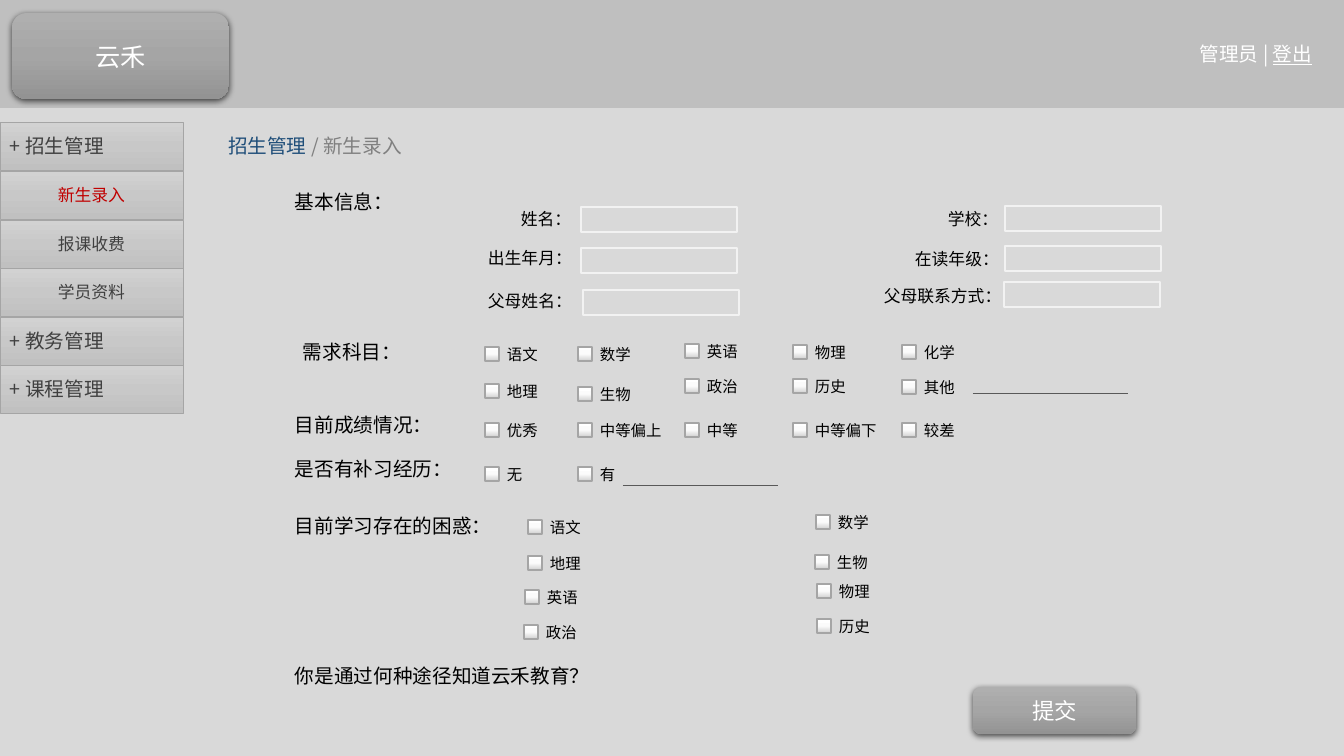
"""Build the student enrolment form slide of a school admin system."""
from copy import deepcopy

from pptx import Presentation, util as u
from pptx.dml.color import RGBColor
from pptx.enum import shapes, text
from pptx.oxml import parse_xml
from pptx.oxml.ns import nsdecls, qn

RECT, ROUND = shapes.MSO_SHAPE.RECTANGLE, shapes.MSO_SHAPE.ROUNDED_RECTANGLE
LEFT, CENTER = text.PP_ALIGN.LEFT, text.PP_ALIGN.CENTER
BUTTON = ("AFAFAF", "A5A5A5", "939393")
MENU = ("D2D2D2", "C8C8C8", "C0C0C0")
CHECK = ("FFFFFF", "FBFBFB", "D1D1D1")
BLACK, WHITE, DARK, GREY, RED = "000000", "FFFFFF", "404040", "A5A5A5", "C00000"
BRAND = "云禾"


def px(n):
    return u.Emu(round(n * 914400 / 100.8))


def rgb(value):
    return RGBColor.from_string(value)


class Form:
    font = "Noto Sans CJK SC"

    def __init__(self, prs, background):
        self.slide = prs.slides.add_slide(prs.slide_layouts[5])
        fill = self.slide.background.fill
        fill.solid()
        fill.fore_color.rgb = rgb(background)

    def set_text(self, sp, runs, size, align=LEFT, anchor=text.MSO_ANCHOR.MIDDLE):
        tf = sp.text_frame
        tf.word_wrap = True
        tf.vertical_anchor = anchor
        p = tf.paragraphs[0]
        p.alignment = align
        for words, color, *underline in runs:
            r = p.add_run()
            r.text = words
            r.font.size, r.font.name = u.Pt(size), self.font
            r.font.color.rgb = rgb(color)
            if underline:
                r.font.underline = True
            ea = r.font._element.makeelement(qn("a:ea"), {"typeface": self.font})
            r.font._element.find(qn("a:latin")).addnext(ea)

    def title(self, runs, size, *box):
        sp = self.slide.shapes.title
        sp.left, sp.top, sp.width, sp.height = map(px, box)
        self.set_text(sp, runs, size)
        sp.text_frame.auto_size = text.MSO_AUTO_SIZE.NONE

    def shape(self, *box, kind=RECT, fill=None, line=None, weight=1, parent=None):
        sp = (parent or self.slide).shapes.add_shape(kind, *map(px, box))
        sp.shadow.inherit = False
        if fill is None:
            sp.fill.background()
        elif isinstance(fill, str):
            sp.fill.solid()
            sp.fill.fore_color.rgb = rgb(fill)
        else:
            self.gradient(sp, fill)
        if line:
            sp.line.color.rgb = rgb(line)
            sp.line.width = u.Pt(weight)
        else:
            sp.line.fill.background()
        return sp

    def gradient(self, sp, colors):
        sp.fill.gradient()
        sp.fill.gradient_angle = 270
        stops = sp._element.spPr.find(".//" + qn("a:gsLst"))
        stops.insert(1, deepcopy(stops[0]))
        for stop, color, place in zip(sp.fill.gradient_stops, colors, (0, 0.5, 1)):
            stop.color.rgb = rgb(color)
            stop.position = place

    def button(self, label, size, *box):
        sp = self.shape(*box, kind=ROUND, fill=BUTTON)
        sp._element.spPr.find(qn("a:effectLst")).append(parse_xml(
            f'<a:outerShdw {nsdecls("a")} blurRad="57150" dist="19050" dir="5400000" '
            'algn="ctr" rotWithShape="0"><a:srgbClr val="000000">'
            '<a:alpha val="63000"/></a:srgbClr></a:outerShdw>'))
        self.set_text(sp, [(label, WHITE)], size, CENTER)

    def label(self, words, size, x, y, width=0, parent=None):
        width = max(width, round(len(words) * size * 1.4) + 22)
        height = round(size * 1.7) + 10
        sp = (parent or self.slide).shapes.add_textbox(*map(px, (x, y, width, height)))
        self.set_text(sp, [(words, BLACK)], size, anchor=text.MSO_ANCHOR.TOP)
        sp.text_frame.auto_size = text.MSO_AUTO_SIZE.SHAPE_TO_FIT_TEXT

    def field(self, words, x, y, box_x, box_y):
        group = self.slide.shapes.add_group_shape()
        self.label(words, 12, x, y, parent=group)
        self.shape(box_x, box_y, 156, 25, line="F2F2F2", parent=group)

    def option(self, words, x, y):
        group = self.slide.shapes.add_group_shape()
        self.label(words, 11, x + 12, y - 7, 65, parent=group)
        self.shape(x, y, 14, 14, fill=CHECK, line=GREY, parent=group)

    def rule(self, x, y, width):
        line = self.slide.shapes.add_connector(
            shapes.MSO_CONNECTOR.STRAIGHT, *map(px, (x, y, x + width, y)))
        line.line.color.rgb = rgb("595959")
        line.line.width = u.Pt(0.5)
        line._element.spPr.append(parse_xml(f'<a:effectLst {nsdecls("a")}/>'))


prs = Presentation()
prs.slide_width, prs.slide_height = px(1344), px(756)
s = Form(prs, "D9D9D9")

s.shape(0, 0, 1344, 108, fill="BFBFBF")
s.button(BRAND, 18, 12, 13, 217, 86)
account = s.shape(1185, 31, 142, 45, fill="BFBFBF")
s.set_text(account, [("管理员 | ", WHITE), ("登出", WHITE, True)], 14, CENTER)

for words, top, size, color, align in [
    ("+ 招生管理", 122, 14, DARK, LEFT),
    ("新生录入", 171, 12, RED, CENTER),
    ("报课收费", 220, 12, DARK, CENTER),
    ("学员资料", 268, 12, DARK, CENTER),
    ("+ 教务管理", 317, 14, DARK, LEFT),
    ("+ 课程管理", 365, 14, DARK, LEFT),
]:
    item = s.shape(0, top, 183, 48, fill=MENU, line=GREY, weight=0.5)
    s.set_text(item, [(words, color)], size, align)

s.title([("招生管理 ", "1F4E79"), ("/ 新生录入", "808080")], 14, 218, 122, 1110, 48)

for words, x, y in [
    ("基本信息：", 285, 185),
    ("需求科目：", 293, 335),
    ("目前成绩情况：", 285, 408),
    ("是否有补习经历：", 285, 452),
    ("目前学习存在的困惑：", 285, 509),
    (f"你是通过何种途径知道{BRAND}教育？", 285, 659),
]:
    s.label(words, 14, x, y, 158)

for entry in [
    ("姓名：", 511, 204, 581, 207),
    ("出生年月：", 478, 243, 581, 248),
    ("学校：", 938, 204, 1005, 206),
    ("在读年级：", 905, 244, 1005, 246),
    ("父母姓名：", 478, 286, 583, 290),
    ("父母联系方式：", 874, 281, 1004, 282),
]:
    s.field(*entry)

columns = (485, 578, 685, 793, 902)
for names, tops in [
    (("语文", "数学", "英语", "物理", "化学"), (347, 347, 344, 345, 345)),
    (("地理", "生物", "政治", "历史", "其他"), (384, 387, 379, 379, 380)),
    (("优秀", "中等偏上", "中等", "中等偏下", "较差"), (423,) * 5),
    (("无", "有"), (467, 467)),
]:
    for name, x, y in zip(names, columns, tops):
        s.option(name, x, y)

for entry in [
    ("语文", 528, 520), ("数学", 816, 515),
    ("地理", 528, 556), ("生物", 815, 555),
    ("英语", 525, 590), ("物理", 817, 584),
    ("政治", 524, 625), ("历史", 817, 619),
]:
    s.option(*entry)

s.rule(973, 393, 155)
s.rule(623, 485, 155)
s.button("提交", 16, 973, 687, 163, 47)

prs.save("out.pptx")
